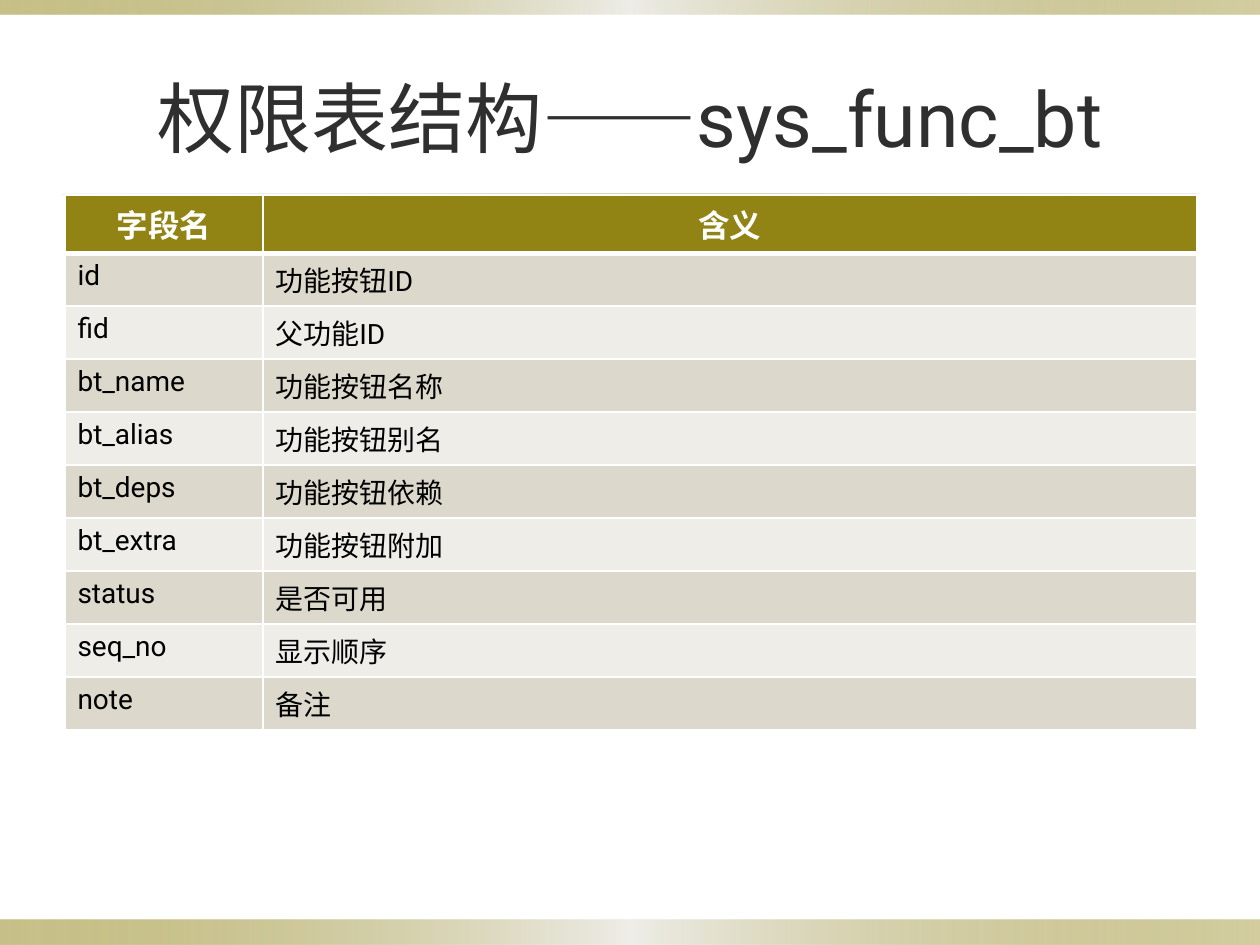
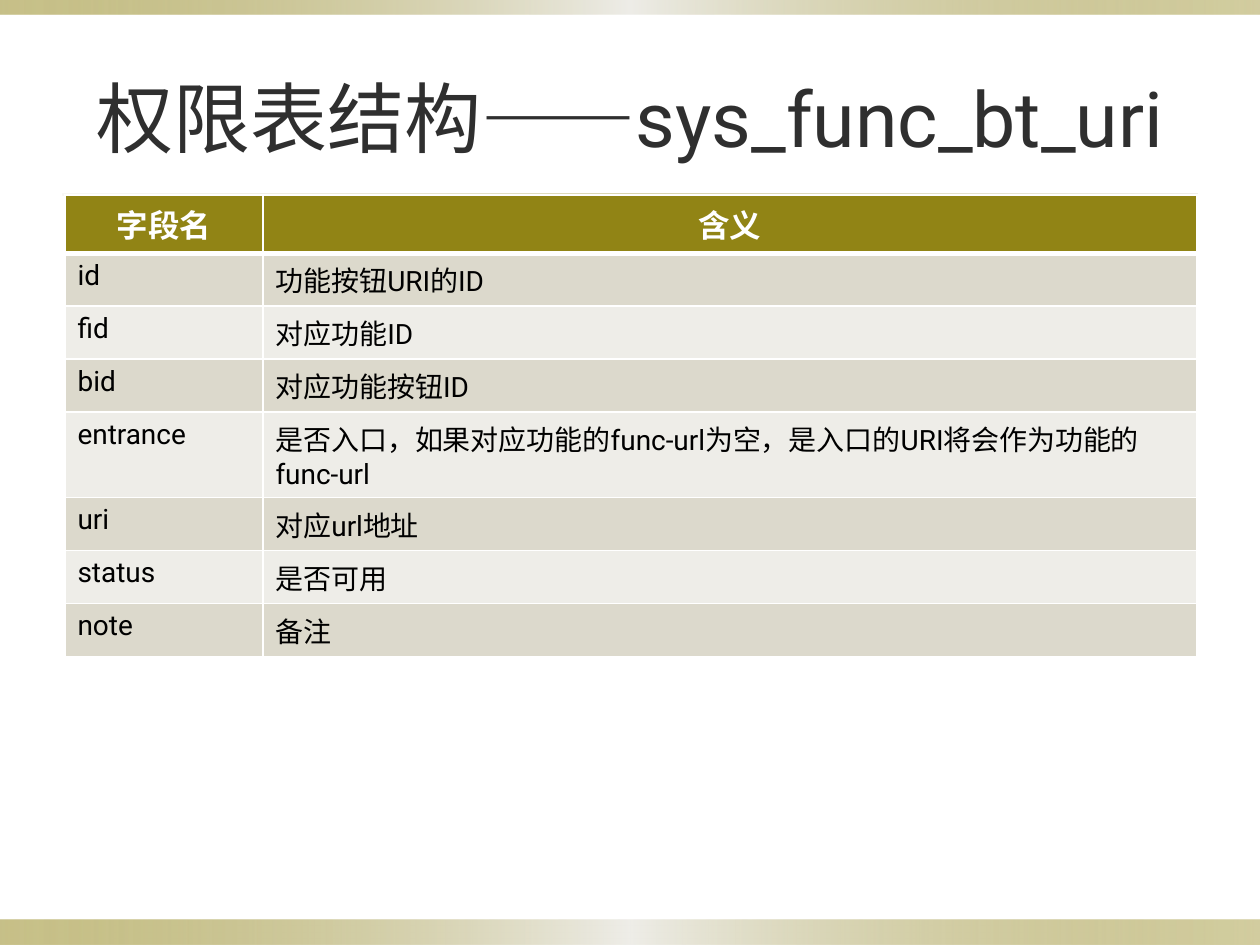
from dataclasses import dataclass

import pptx
import pptx.dml.color
import pptx.enum.shapes
import pptx.enum.text
import pptx.oxml.ns
import pptx.presentation
import pptx.shapes.autoshape
import pptx.slide
import pptx.table
import pptx.util
from lxml import etree

EMU_PER_PX = 914400 / 126
qn = pptx.oxml.ns.qn


@dataclass(frozen=True)
class Theme:
    font: str = "Roboto"
    olive: str = "918415"
    sand: str = "DCD9CC"
    mist: str = "EEEDE8"
    white: str = "FFFFFF"
    ink: str = "2F2F2F"
    black: str = "000000"
    title_size: int = 44
    header_size: int = 18
    body_size: int = 16
    grid_line: int = 1
    header_line: int = 3


@dataclass(frozen=True)
class Box:
    x: int
    y: int
    w: int
    h: int


@dataclass(frozen=True)
class Stop:
    position: int
    color: str
    opacity: int = 100


@dataclass(frozen=True)
class Band:
    box: Box
    stops: tuple[Stop, ...]


@dataclass(frozen=True)
class FieldSlide:
    table_name: str
    table_height: int
    fields: tuple[tuple[str, str], ...]


THEME = Theme()
SLIDE = Box(0, 0, 1260, 945)
TITLE = Box(63, 38, 1134, 157)
TABLE_X, TABLE_Y = 65, 195
COLUMNS = (198, 934)
ROW_HEIGHT = 30
HEADER = ("字段名", "含义")

EDGE_STOPS = (Stop(0, THEME.olive, 50), Stop(50, THEME.mist), Stop(100, THEME.olive, 40))
RULE_STOPS = (Stop(0, THEME.sand, 20), Stop(50, THEME.olive, 40), Stop(100, THEME.sand, 50))
BANDS = (
    Band(Box(0, 920, 1260, 25), EDGE_STOPS),
    Band(Box(0, 0, 1260, 15), EDGE_STOPS),
    Band(Box(63, 194, 1134, 2), RULE_STOPS),
)

FIELD_SLIDES = (
    FieldSlide("sys_func_bt", 466, (
        ("id", "功能按钮ID"),
        ("fid", "父功能ID"),
        ("bt_name", "功能按钮名称"),
        ("bt_alias", "功能按钮别名"),
        ("bt_deps", "功能按钮依赖"),
        ("bt_extra", "功能按钮附加"),
        ("status", "是否可用"),
        ("seq_no", "显示顺序"),
        ("note", "备注"),
    )),
    FieldSlide("sys_func_bt_uri", 407, (
        ("id", "功能按钮URI的ID"),
        ("fid", "对应功能ID"),
        ("bid", "对应功能按钮ID"),
        ("entrance", "是否入口，如果对应功能的func-url为空，是入口的URI将会作为功能的func-url"),
        ("uri", "对应url地址"),
        ("status", "是否可用"),
        ("note", "备注"),
    )),
)


def px(length: int) -> pptx.util.Emu:
    return pptx.util.Emu(round(length * EMU_PER_PX))


def place(box: Box) -> tuple[pptx.util.Emu, ...]:
    return px(box.x), px(box.y), px(box.w), px(box.h)


def rgb(color: str) -> pptx.dml.color.RGBColor:
    return pptx.dml.color.RGBColor.from_string(color)


def style_text(tf: pptx.text.text.TextFrame, size: int, color: str,
               bold: bool = False, centered: bool = False) -> None:
    align = pptx.enum.text.PP_ALIGN
    p = tf.paragraphs[0]
    p.alignment = align.CENTER if centered else align.LEFT
    p.font.name = THEME.font
    p.font.size = pptx.util.Pt(size)
    p.font.bold = bold
    p.font.color.rgb = rgb(color)


def draw_band(s: pptx.slide.Slide, band: Band) -> None:
    sp = s.shapes.add_shape(pptx.enum.shapes.MSO_SHAPE.RECTANGLE, *place(band.box))
    sp.shadow.inherit = False
    sp.line.fill.background()
    sp.fill.gradient()
    sp.fill.gradient_angle = 0
    stops = sp.element.spPr.find(qn("a:gradFill")).find(qn("a:gsLst"))
    for old in list(stops):
        stops.remove(old)
    for stop in band.stops:
        gs = etree.SubElement(stops, qn("a:gs"), pos=str(stop.position * 1000))
        clr = etree.SubElement(gs, qn("a:srgbClr"), val=stop.color)
        if stop.opacity < 100:
            etree.SubElement(clr, qn("a:alpha"), val=str(stop.opacity * 1000))


def draw_title(s: pptx.slide.Slide, text: str) -> None:
    sp = s.shapes.title
    sp.left, sp.top, sp.width, sp.height = place(TITLE)
    tf = sp.text_frame
    tf.text = text
    tf.vertical_anchor = pptx.enum.text.MSO_ANCHOR.MIDDLE
    style_text(tf, THEME.title_size, THEME.ink, centered=True)


def set_borders(cell: pptx.table._Cell, bottom: int) -> None:
    tc_pr = cell._tc.get_or_add_tcPr()
    widths = {"lnL": THEME.grid_line, "lnR": THEME.grid_line,
              "lnT": THEME.grid_line, "lnB": bottom}
    for i, (side, width) in enumerate(widths.items()):
        ln = etree.Element(qn(f"a:{side}"), w=str(pptx.util.Pt(width)))
        fill = etree.SubElement(ln, qn("a:solidFill"))
        etree.SubElement(fill, qn("a:srgbClr"), val=THEME.white)
        tc_pr.insert(i, ln)


def fill_cell(cell: pptx.table._Cell, text: str, row: int) -> None:
    cell.text = text
    cell.fill.solid()
    if row == 0:
        cell.fill.fore_color.rgb = rgb(THEME.olive)
        style_text(cell.text_frame, THEME.header_size, THEME.white, bold=True, centered=True)
        set_borders(cell, THEME.header_line)
    else:
        cell.fill.fore_color.rgb = rgb(THEME.sand if row % 2 else THEME.mist)
        style_text(cell.text_frame, THEME.body_size, THEME.black)
        set_borders(cell, THEME.grid_line)
        if row == 1:
            cell._tc.tcPr.find(qn("a:lnT")).set("w", str(pptx.util.Pt(THEME.header_line)))


def draw_table(s: pptx.slide.Slide, content: FieldSlide) -> None:
    rows = (HEADER, *content.fields)
    box = Box(TABLE_X, TABLE_Y, sum(COLUMNS), content.table_height)
    frame = s.shapes.add_table(len(rows), len(COLUMNS), *place(box))
    for column, width in zip(frame.table.columns, COLUMNS):
        column.width = px(width)
    for i, (row, texts) in enumerate(zip(frame.table.rows, rows)):
        row.height = px(ROW_HEIGHT)
        for cell, text in zip(row.cells, texts):
            fill_cell(cell, text, i)
    frame.height = px(content.table_height)


def add_field_slide(prs: pptx.presentation.Presentation, content: FieldSlide) -> None:
    s = prs.slides.add_slide(prs.slide_layouts.get_by_name("Title Only"))
    s.background.fill.solid()
    s.background.fill.fore_color.rgb = rgb(THEME.white)
    for band in BANDS:
        draw_band(s, band)
    draw_title(s, f"权限表结构——{content.table_name}")
    draw_table(s, content)


def main() -> None:
    prs = pptx.Presentation()
    prs.slide_width, prs.slide_height = px(SLIDE.w), px(SLIDE.h)
    for content in FIELD_SLIDES:
        add_field_slide(prs, content)
    prs.save("out.pptx")


if __name__ == "__main__":
    main()
